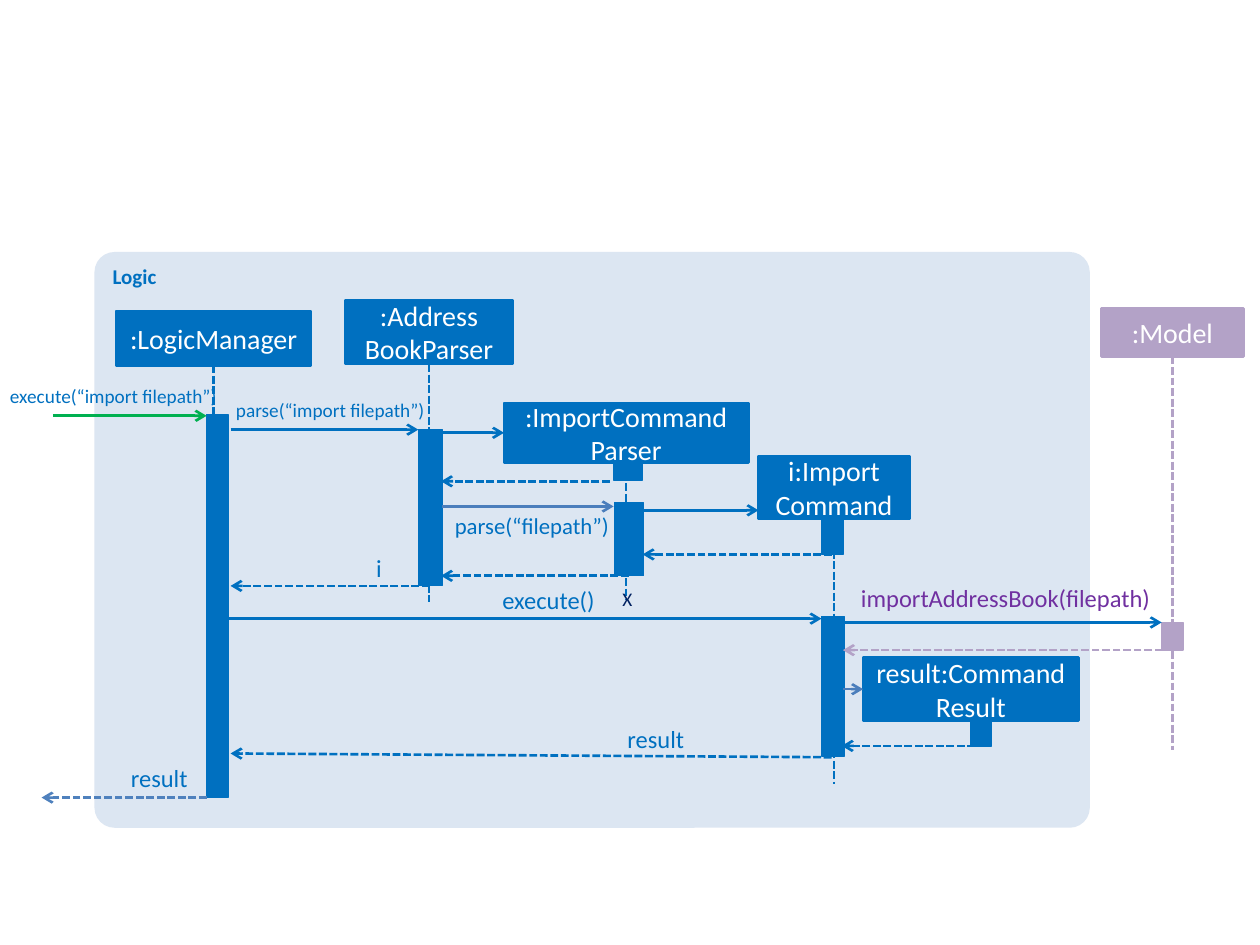
from dataclasses import dataclass

from lxml.etree import SubElement
from pptx import Presentation
from pptx.dml.color import RGBColor
from pptx.enum.dml import MSO_LINE
from pptx.enum.shapes import MSO_CONNECTOR, MSO_SHAPE
from pptx.enum.text import MSO_ANCHOR, MSO_AUTO_SIZE, PP_ALIGN
from pptx.oxml.ns import qn
from pptx.util import Inches, Pt


@dataclass(frozen=True)
class Theme:
    font: str = "Calibri"
    logic: RGBColor = RGBColor.from_string("0070C0")
    model: RGBColor = RGBColor.from_string("B3A2C7")
    panel: RGBColor = RGBColor.from_string("DCE6F2")
    entry: RGBColor = RGBColor.from_string("00B050")
    result: RGBColor = RGBColor.from_string("4F81BD")
    inner_call: RGBColor = RGBColor.from_string("4B7EBC")
    model_call: RGBColor = RGBColor.from_string("7030A0")
    destroyed: RGBColor = RGBColor.from_string("002060")
    white: RGBColor = RGBColor.from_string("FFFFFF")
    participant_size: int = 16
    label_size: int = 14
    parse_size: int = 13
    frame_size: int = 12
    small_size: int = 11
    stroke: float = 1.5
    bar_stroke: float = 0.75


THEME = Theme()

PARTICIPANTS = {
    "manager": (":LogicManager", 0.92, 2.47, 1.55, 0.43, THEME.logic),
    "parser": (":Address\nBookParser", 2.74, 2.38, 1.33, 0.51, THEME.logic),
    "command": ("i:Import\vCommand", 6.02, 3.62, 1.2, 0.5, THEME.logic),
    "model": (":Model", 8.74, 2.45, 1.13, 0.38, THEME.model),
    "result": ("result:Command Result", 6.85, 5.22, 1.71, 0.5, THEME.logic),
    "import_parser": (":ImportCommand\nParser", 4, 3.2, 1.94, 0.47, THEME.logic),
}

LIFELINE_ENDS = {
    "manager": 5.75,
    "parser": 4.78,
    "command": 6.22,
    "model": 5.95,
    "import_parser": 4.76,
}

ACTIVATIONS = [
    (1.64, 3.29, 0.17, 3.04, THEME.logic),
    (3.32, 3.41, 0.19, 1.24, THEME.logic),
    (4.87, 3.68, 0.23, 0.13, THEME.logic),
    (4.88, 3.99, 0.23, 0.58, THEME.logic),
    (6.52, 4.1, 0.17, 0.3, THEME.logic),
    (6.52, 4.89, 0.18, 1.11, THEME.logic),
    (7.7, 5.73, 0.17, 0.19, THEME.logic),
    (9.22, 4.94, 0.17, 0.22, THEME.model),
]

CALLS = [
    (0.42, 1.64, 3.3, THEME.entry),
    (1.83, 3.32, 3.41, THEME.logic),
    (3.51, 4.87, 4.02, THEME.inner_call),
    (5.1, 6.02, 4.05, THEME.logic),
    (1.67, 6.52, 4.91, THEME.logic),
    (6.71, 9.22, 4.94, THEME.logic),
]

CREATIONS = [
    (3.45, "import_parser", THEME.logic),
    (6.69, "result", THEME.inner_call),
]

RETURNS = [
    (4.84, 3.82, 3.5, 3.82, THEME.logic),
    (6.6, 4.4, 5.1, 4.4, THEME.logic),
    (4.99, 4.57, 3.5, 4.57, THEME.logic),
    (3.41, 4.65, 1.83, 4.65, THEME.logic),
    (9.31, 5.16, 6.69, 5.16, THEME.model),
    (7.74, 5.92, 6.68, 5.92, THEME.logic),
    (6.6, 6.01, 1.83, 5.98, THEME.logic),
    (1.64, 6.33, 0.33, 6.33, THEME.result),
]

LABELS = [
    ("execute(“import filepath”)", -0.15, 3.05, 1.87, 0.19, THEME.small_size, THEME.logic),
    ("parse(“import filepath”)", 1.59, 3.16, 1.78, 0.19, THEME.small_size, THEME.logic),
    ("parse(“filepath”)", 3.59, 4.06, 1.24, 0.22, THEME.parse_size, THEME.logic),
    ("i", 2.79, 4.39, 0.24, 0.24, THEME.label_size, THEME.logic),
    ("execute()", 3.78, 4.64, 0.94, 0.24, THEME.label_size, THEME.logic),
    ("importAddressBook(filepath)", 6.69, 4.63, 2.44, 0.24, THEME.label_size, THEME.model_call),
    ("result", 4.75, 5.75, 0.68, 0.24, THEME.label_size, THEME.logic),
    ("result", 0.66, 6.06, 0.83, 0.24, THEME.label_size, THEME.logic),
]


def write_text(shape, text, size, color, alignment, bold=False):
    shape.text_frame.text = text
    for paragraph in shape.text_frame.paragraphs:
        paragraph.alignment = alignment
        paragraph.font.name = THEME.font
        paragraph.font.size = Pt(size)
        paragraph.font.bold = bold
        paragraph.font.color.rgb = color


def add_block(slide, kind, left, top, width, height, fill, stroke=None):
    shape = slide.shapes.add_shape(kind, Inches(left), Inches(top), Inches(width), Inches(height))
    shape.shadow.inherit = False
    shape.fill.solid()
    shape.fill.fore_color.rgb = fill
    if stroke:
        shape.line.color.rgb = fill
        shape.line.width = Pt(stroke)
    else:
        shape.line.fill.background()
    return shape


def add_frame(slide):
    frame = add_block(slide, MSO_SHAPE.ROUNDED_RECTANGLE, 0.75, 2, 7.9, 4.57, THEME.panel)
    frame.adjustments[0] = 0.035
    frame.text_frame.vertical_anchor = MSO_ANCHOR.TOP
    write_text(frame, "Logic", THEME.frame_size, THEME.logic, PP_ALIGN.LEFT, bold=True)


def add_participant(slide, name, left, top, width, height, color):
    box = add_block(slide, MSO_SHAPE.RECTANGLE, left, top, width, height, color, THEME.stroke)
    box.text_frame.vertical_anchor = MSO_ANCHOR.MIDDLE
    write_text(box, name, THEME.participant_size, THEME.white, PP_ALIGN.CENTER)
    return box


def add_line(slide, start, end, color, dashed=False, arrow=True):
    line = slide.shapes.add_connector(MSO_CONNECTOR.STRAIGHT, *start, *end)
    line.line.color.rgb = color
    line.line.width = Pt(THEME.stroke)
    if dashed:
        line.line.dash_style = MSO_LINE.SQUARE_DOT
    if arrow:
        SubElement(line.line._get_or_add_ln(), qn("a:tailEnd"), type="arrow")
    SubElement(line._element.spPr, qn("a:effectLst"))
    return line


def add_lifeline(slide, box, bottom):
    center = box.left + box.width // 2
    lifeline = add_line(slide, (center, box.top + box.height), (center, Inches(bottom)),
                        box.fill.fore_color.rgb, dashed=True, arrow=False)
    lifeline.begin_connect(box, 2)


def add_creation(slide, start, box, color):
    middle = box.top + box.height // 2
    creation = add_line(slide, (Inches(start), middle), (box.left, middle), color)
    creation.end_connect(box, 1)


def add_label(slide, text, left, top, width, height, size, color):
    label = slide.shapes.add_textbox(Inches(left), Inches(top), Inches(width), Inches(height))
    frame = label.text_frame
    frame.word_wrap = True
    frame.auto_size = MSO_AUTO_SIZE.SHAPE_TO_FIT_TEXT
    frame.margin_left = frame.margin_right = frame.margin_top = frame.margin_bottom = 0
    write_text(label, text, size, color, PP_ALIGN.RIGHT)


def add_destruction_mark(slide):
    mark = slide.shapes.add_textbox(Inches(4.84), Inches(4.61), Inches(0.28), Inches(0.29))
    mark.text_frame.word_wrap = False
    mark.text_frame.auto_size = MSO_AUTO_SIZE.SHAPE_TO_FIT_TEXT
    write_text(mark, "X", THEME.small_size, THEME.destroyed, PP_ALIGN.LEFT)


def main():
    presentation = Presentation()
    presentation.slide_width = Inches(10)
    presentation.slide_height = Inches(7.5)
    slide = presentation.slides.add_slide(presentation.slide_layouts[6])

    add_frame(slide)
    boxes = {key: add_participant(slide, *details) for key, details in PARTICIPANTS.items()}
    for key, bottom in LIFELINE_ENDS.items():
        add_lifeline(slide, boxes[key], bottom)
    for *place, color in ACTIVATIONS:
        add_block(slide, MSO_SHAPE.RECTANGLE, *place, color, THEME.bar_stroke)
    for start, end, y, color in CALLS:
        add_line(slide, (Inches(start), Inches(y)), (Inches(end), Inches(y)), color)
    for start, key, color in CREATIONS:
        add_creation(slide, start, boxes[key], color)
    for x1, y1, x2, y2, color in RETURNS:
        add_line(slide, (Inches(x1), Inches(y1)), (Inches(x2), Inches(y2)), color, dashed=True)
    for label in LABELS:
        add_label(slide, *label)
    add_destruction_mark(slide)

    presentation.save("out.pptx")


if __name__ == "__main__":
    main()
